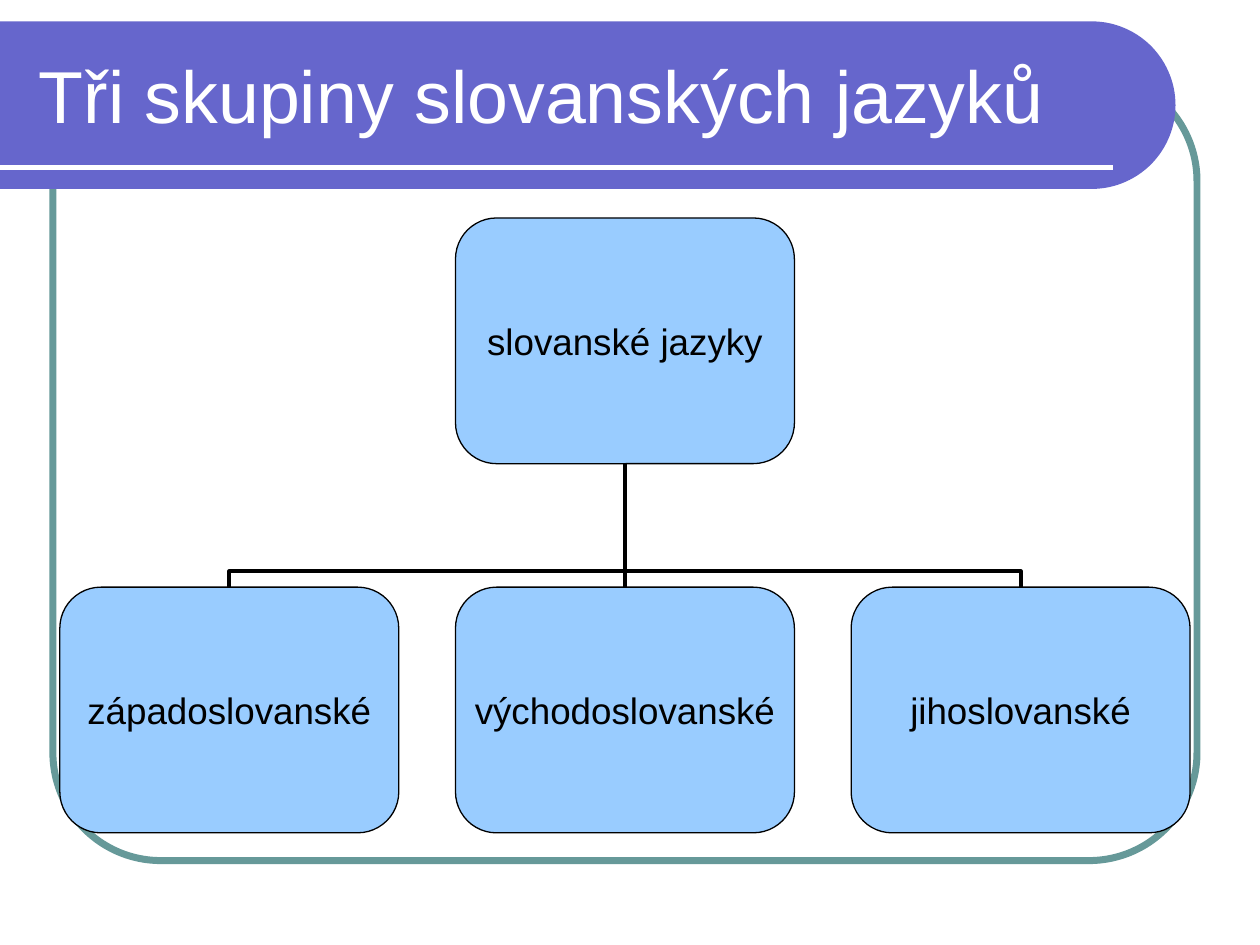
import math

import pptx
import pptx.dml.color
import pptx.enum.shapes
import pptx.enum.text
import pptx.oxml.ns
import pptx.util
from lxml import etree
from pptx.util import Inches

COLORS = {
    "frame": "669999",
    "banner": "6666CC",
    "box": "99CCFF",
    "white": "FFFFFF",
    "black": "000000",
}
FONT = "Arial"
BOX_W, BOX_H = 2.69, 1.95
ROOT_TOP, BRANCH_TOP = 1.73, 4.66
CENTER_X, BRANCH_STEP = 4.96, 3.14
BRANCHES = ["západoslovanské", "východoslovanské", "jihoslovanské"]


def rgb(name):
    return pptx.dml.color.RGBColor.from_string(COLORS[name])


def style(shape, fill=None, line=None, line_width=0.75):
    shape.shadow.inherit = False
    if fill:
        shape.fill.solid()
        shape.fill.fore_color.rgb = rgb(fill)
    else:
        shape.fill.background()
    if line:
        shape.line.color.rgb = rgb(line)
        shape.line.width = pptx.util.Pt(line_width)
    else:
        shape.line.fill.background()


def write(shape, text, size=21, color="black", align="CENTER", margin=0, wrap=False):
    frame = shape.text_frame
    frame.word_wrap = wrap
    frame.vertical_anchor = pptx.enum.text.MSO_ANCHOR.MIDDLE
    frame.margin_left = frame.margin_right = Inches(margin)
    frame.margin_top = frame.margin_bottom = Inches(margin / 2)
    paragraph = frame.paragraphs[0]
    paragraph.alignment = pptx.enum.text.PP_ALIGN[align]
    run = paragraph.add_run()
    run.text = text
    run.font.name = FONT
    run.font.size = pptx.util.Pt(size)
    run.font.color.rgb = rgb(color)


def add_rounded(slide, left, top, width, height, corner, **look):
    rounded = slide.shapes.add_shape(
        pptx.enum.shapes.MSO_SHAPE.ROUNDED_RECTANGLE,
        Inches(left), Inches(top), Inches(width), Inches(height))
    rounded.adjustments[0] = corner
    style(rounded, **look)
    return rounded


def add_line(slide, kind, start, end, color, line_width):
    line = slide.shapes.add_connector(
        pptx.enum.shapes.MSO_CONNECTOR[kind], *map(Inches, start + end))
    line.line.color.rgb = rgb(color)
    line.line.width = pptx.util.Pt(line_width)
    etree.SubElement(line._element.spPr, pptx.oxml.ns.qn("a:effectLst"))
    return line


def add_banner(slide, top=0.17, bottom=1.5, right=9.33):
    """Band from the left edge that ends in a half circle."""
    radius = (bottom - top) / 2
    center_x, center_y = right - radius, top + radius
    arc = [(center_x + radius * math.cos(math.radians(angle)),
            center_y + radius * math.sin(math.radians(angle)))
           for angle in range(-90, 91, 3)]
    builder = slide.shapes.build_freeform(0, Inches(top), scale=1.0)
    builder.add_line_segments(
        [(Inches(x), Inches(y)) for x, y in arc + [(0, bottom)]], close=True)
    style(builder.convert_to_shape(), fill="banner")


def add_branch_line(slide, branch_x):
    """Elbow from the top of a branch up to the root, turned to leave vertically."""
    root_bottom = ROOT_TOP + BOX_H
    rise, run = BRANCH_TOP - root_bottom, branch_x - CENTER_X
    mid_x, mid_y = CENTER_X + run / 2, root_bottom + rise / 2
    elbow = add_line(slide, "ELBOW", (mid_x - rise / 2, mid_y + run / 2),
                     (mid_x + rise / 2, mid_y - run / 2), "black", 2.25)
    properties = elbow._element.spPr
    properties.find(pptx.oxml.ns.qn("a:xfrm")).set("rot", str(270 * 60000))
    bends = properties.find(".//" + pptx.oxml.ns.qn("a:avLst"))
    etree.SubElement(bends, pptx.oxml.ns.qn("a:gd"), name="adj1", fmla="val 12800")


def add_box(slide, center_x, top, text):
    box = add_rounded(slide, center_x - BOX_W / 2, top, BOX_W, BOX_H, 0.167,
                      fill="box", line="black")
    write(box, text)


def main():
    deck = pptx.Presentation()
    deck.slide_width, deck.slide_height = Inches(10), Inches(7.5)
    slide = deck.slides.add_slide(deck.slide_layouts[6])

    # Frame and title banner
    add_rounded(slide, 0.42, 0.58, 9.08, 6.25, 0.137, line="frame", line_width=4)
    add_banner(slide)
    add_line(slide, "STRAIGHT", (0, 1.33), (8.83, 1.33), "white", 3)
    title = slide.shapes.add_textbox(Inches(0.21), Inches(0.25), Inches(8.77), Inches(1))
    write(title, "Tři skupiny slovanských jazyků", size=42, color="white",
          align="LEFT", margin=0.1, wrap=True)

    # Tree of languages: lines behind, boxes in front
    branch_centers = [CENTER_X + (i - 1) * BRANCH_STEP for i in range(len(BRANCHES))]
    for center_x in reversed(branch_centers):
        add_branch_line(slide, center_x)
    add_box(slide, CENTER_X, ROOT_TOP, "slovanské jazyky")
    for center_x, branch in zip(branch_centers, BRANCHES):
        add_box(slide, center_x, BRANCH_TOP, branch)

    deck.save("out.pptx")


if __name__ == "__main__":
    main()
